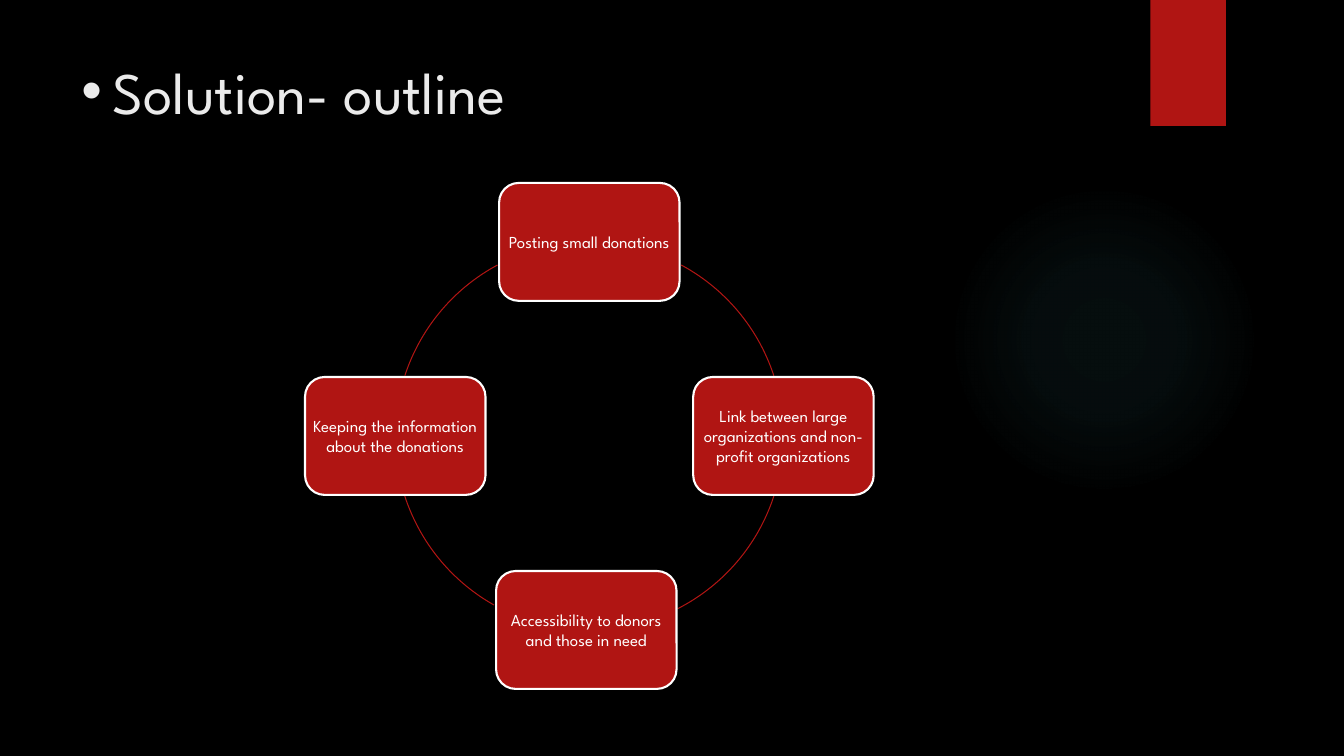
from dataclasses import dataclass

from lxml.etree import SubElement
from pptx import Presentation
from pptx.dml.color import RGBColor
from pptx.enum.shapes import MSO_SHAPE
from pptx.enum.text import MSO_ANCHOR, PP_ALIGN
from pptx.oxml import parse_xml
from pptx.oxml.ns import nsdecls, qn
from pptx.shapes.autoshape import Shape
from pptx.slide import Slide
from pptx.util import Inches, Pt


@dataclass(frozen=True)
class Theme:
    background: RGBColor = RGBColor(0x00, 0x00, 0x00)
    accent: RGBColor = RGBColor(0xB0, 0x15, 0x13)
    white: RGBColor = RGBColor(0xFF, 0xFF, 0xFF)
    title: RGBColor = RGBColor(0xEB, 0xEB, 0xEB)
    glow: str = "50B9C1"
    font: str = "League Spartan"
    title_size: int = 42
    step_size: int = 12


@dataclass(frozen=True)
class Step:
    """A card on the cycle, and the arc (in degrees) that leaves it."""
    text: str
    across: int
    down: int
    arc_start: float
    arc_end: float
    nudge: float = 0


THEME = Theme()
CENTER_X, CENTER_Y, RADIUS = 5.845, 4.325, 1.925
CARD_WIDTH, CARD_HEIGHT = 1.79, 1.17
GLOW_STOPS = ((0, 7), (36, 6), (69, 0))  # position and opacity in percent

STEPS = (
    Step("Posting small donations", 0, -1, 298.23, 341.92),
    Step("Link between large organizations and non-profit organizations",
         1, 0, 18.09, 62.92),
    Step("Accessibility to donors and those in need",
         0, 1, 119.38, 161.93, nudge=-0.03),
    Step("Keeping the information about the donations",
         -1, 0, 198.08, 241.78),
)


def add_plain_shape(slide: Slide, kind: MSO_SHAPE, left: float, top: float,
                    width: float, height: float) -> Shape:
    shape = slide.shapes.add_shape(
        kind, Inches(left), Inches(top), Inches(width), Inches(height))
    shape.shadow.inherit = False
    shape.line.fill.background()
    return shape


def add_glow(slide: Slide) -> None:
    glow = add_plain_shape(slide, MSO_SHAPE.OVAL, 9.41, 1.83, 3.08, 3.08)
    stops = "".join(
        f'<a:gs pos="{position * 1000}"><a:srgbClr val="{THEME.glow}">'
        f'<a:alpha val="{opacity * 1000}"/></a:srgbClr></a:gs>'
        for position, opacity in GLOW_STOPS)
    gradient = parse_xml(
        f'<a:gradFill {nsdecls("a")}><a:gsLst>{stops}</a:gsLst>'
        '<a:path path="circle"><a:fillToRect l="50000" t="50000" '
        'r="50000" b="50000"/></a:path></a:gradFill>')
    glow.element.spPr.find(qn("a:prstGeom")).addnext(gradient)


def add_ribbon(slide: Slide) -> None:
    ribbon = add_plain_shape(slide, MSO_SHAPE.RECTANGLE, 11.41, 0, 0.75, 1.25)
    ribbon.fill.solid()
    ribbon.fill.fore_color.rgb = THEME.accent


def add_title(slide: Slide, text: str) -> None:
    frame = slide.shapes.add_textbox(
        Inches(0.71), Inches(0.5), Inches(10.29), Inches(1.53)).text_frame
    frame.word_wrap = True
    heading = frame.paragraphs[0]
    heading.text = text
    heading.space_before = Pt(10)
    heading.font.name = THEME.font
    heading.font.size = Pt(THEME.title_size)
    heading.font.color.rgb = THEME.title
    # Hanging bullet
    properties = heading._p.get_or_add_pPr()
    properties.set("marL", str(Inches(0.31)))
    properties.set("indent", str(Inches(-0.31)))
    bullet_font = parse_xml(f'<a:buFont {nsdecls("a")} typeface="Arial"/>')
    bullet = parse_xml(f'<a:buChar {nsdecls("a")} char="•"/>')
    properties.find(qn("a:spcBef")).addnext(bullet_font)
    bullet_font.addnext(bullet)


def add_card(slide: Slide, step: Step) -> None:
    card = add_plain_shape(
        slide, MSO_SHAPE.ROUNDED_RECTANGLE,
        CENTER_X + step.across * RADIUS - CARD_WIDTH / 2 + step.nudge,
        CENTER_Y + step.down * RADIUS - CARD_HEIGHT / 2,
        CARD_WIDTH, CARD_HEIGHT)
    card.fill.solid()
    card.fill.fore_color.rgb = THEME.accent
    card.line.color.rgb = THEME.white
    card.line.width = Pt(1.5)
    frame = card.text_frame
    frame.word_wrap = True
    frame.vertical_anchor = MSO_ANCHOR.MIDDLE
    frame.margin_left = frame.margin_right = Inches(0)
    label = frame.paragraphs[0]
    label.text = step.text
    label.alignment = PP_ALIGN.CENTER
    label.font.name = THEME.font
    label.font.size = Pt(THEME.step_size)
    label.font.color.rgb = THEME.white


def add_arc(slide: Slide, step: Step) -> None:
    arc = add_plain_shape(slide, MSO_SHAPE.ARC, CENTER_X - RADIUS,
                          CENTER_Y - RADIUS, 2 * RADIUS, 2 * RADIUS)
    arc.fill.background()
    arc.line.color.rgb = THEME.accent
    arc.line.width = Pt(0.75)
    # One degree is 60000 units; an adjustment of 1 is 100000 units
    for index, degrees in enumerate((step.arc_start, step.arc_end)):
        arc.adjustments[index] = degrees * 0.6


def main() -> None:
    deck = Presentation()
    deck.slide_width, deck.slide_height = Inches(13.33), Inches(7.5)
    slide = deck.slides.add_slide(deck.slide_layouts[6])
    slide.background.fill.solid()
    slide.background.fill.fore_color.rgb = THEME.background

    # Backdrop and title
    add_glow(slide)
    add_ribbon(slide)
    add_title(slide, "Solution- outline")

    # Cycle of steps
    for step in STEPS:
        add_card(slide, step)
        add_arc(slide, step)

    deck.save("out.pptx")


if __name__ == "__main__":
    main()
